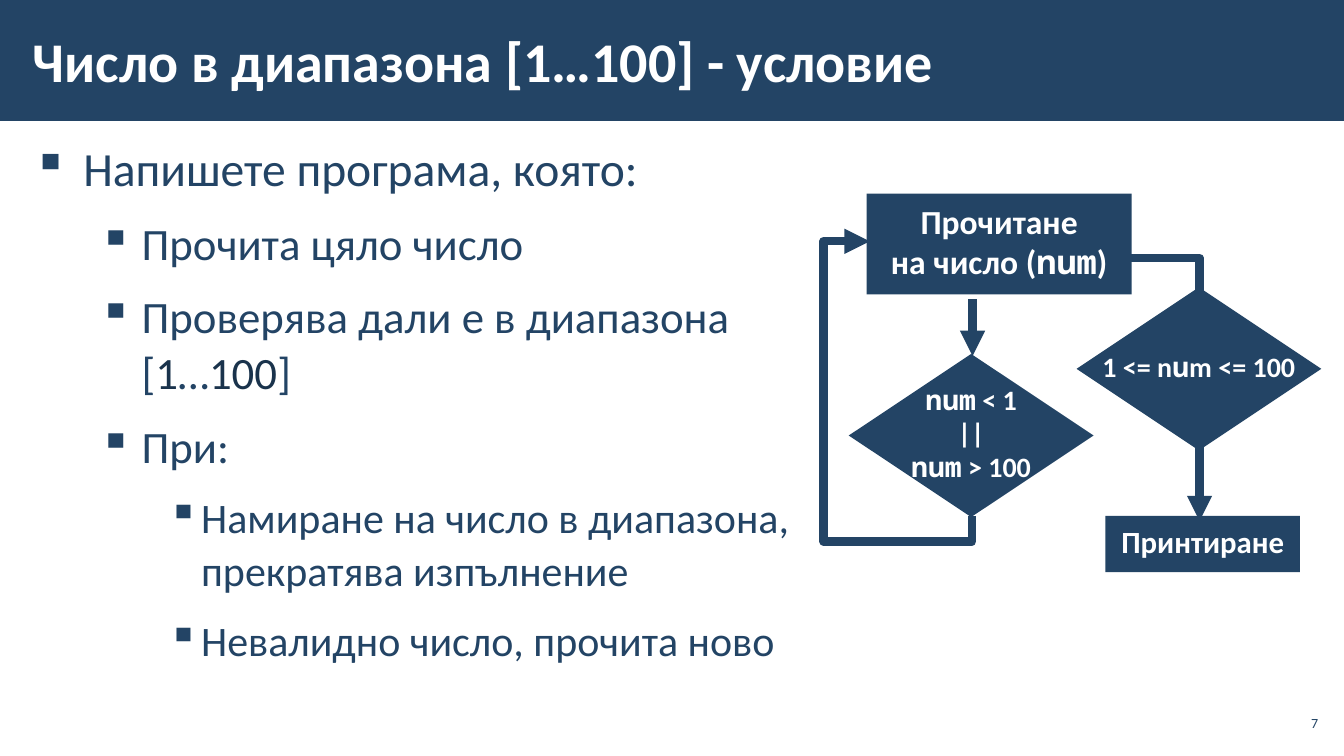
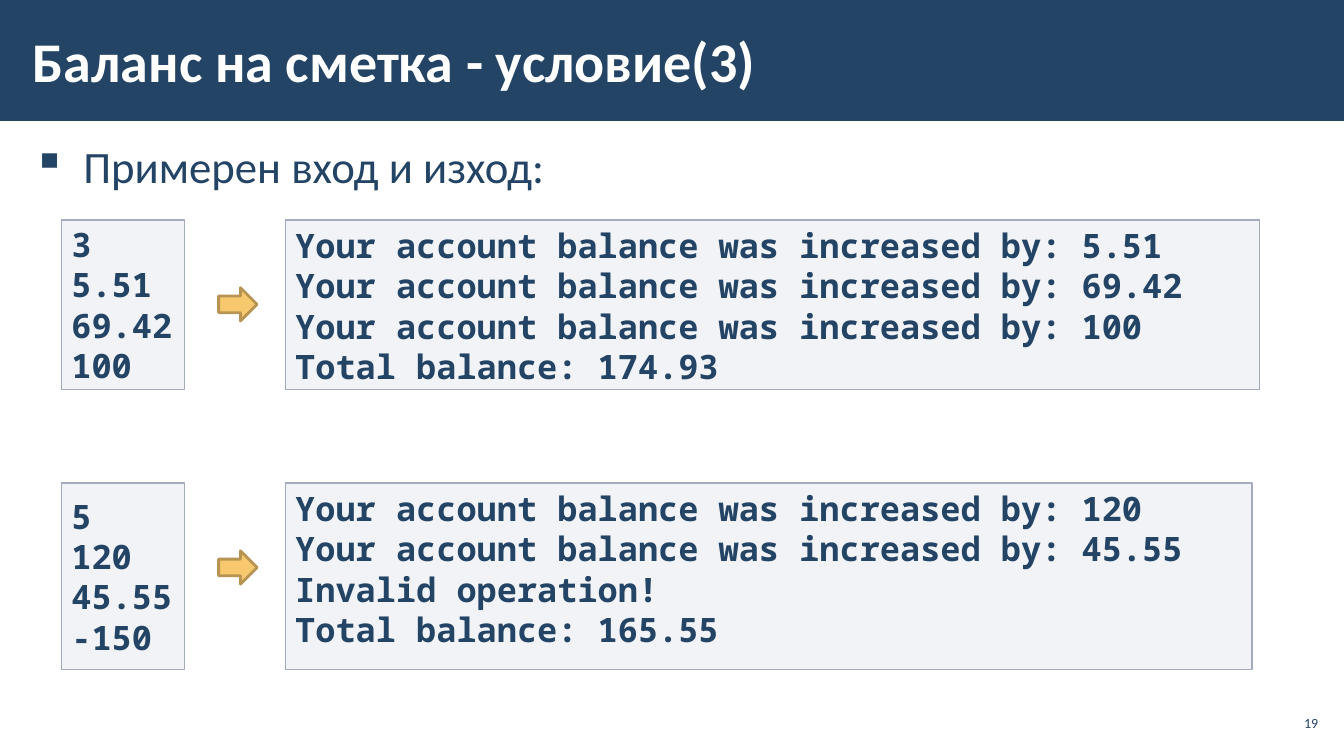
"""Builds two lesson slides: a number-range flowchart and account balance examples."""
from lxml.etree import SubElement
from pptx import Presentation
from pptx.dml.color import RGBColor
from pptx.enum.shapes import MSO_CONNECTOR as Link, MSO_SHAPE as Shape
from pptx.enum.text import MSO_ANCHOR as Anchor, PP_ALIGN as Align
from pptx.oxml.ns import qn
from pptx.util import Cm, Pt

COLORS = {
    "navy": "234465", "dark": "1A334C", "white": "FFFFFF",
    "panel": "C2C7D2", "panel_edge": "A3ABBC",
    "arrow": "F7C86D", "arrow_edge": "B79451",
}
SANS, MONO = "Calibri", "Noto Sans Mono"

SLIDE_SIZE = (33.87, 19.05)
BAND = (0, 0, 33.87, 3.05)
TITLE = (0.53, 0.28, 26.42, 2.46)
BODY = (0.53, 3.33, 32.82, 14.45)
PAGE_NUMBER = (32.13, 17.78, 1.19, 0.86)
BULLET_INDENTS = [(1.27, 1.27), (2.74, 1.07), (4.24, 0.84)]

RANGE_TITLE = "Число в диапазона [1…100] - условие"
RANGE_BULLETS = [
    (0, 34, [("Напишете програма, която:", "navy")]),
    (1, 32, [("Прочита цяло число", "navy")]),
    (1, 32, [("Проверява дали е в диапазона\n[", "navy"), ("1", "dark"),
             ("…", "navy"), ("100", "dark"), ("]", "navy")]),
    (1, 32, [("При:", "navy")]),
    (2, 30, [("Намиране на число в диапазона,\nпрекратява изпълнение", "navy")]),
    (2, 30, [("Невалидно число, прочита ново", "navy")]),
]
FLOW_STEPS = [
    (Shape.RECTANGLE, (21.84, 4.88, 6.68, 2.54), 24,
     [("Прочитане\nна число (", SANS), ("num", MONO), (")", SANS)]),
    (Shape.FLOWCHART_DECISION, (21.39, 8.92, 6.17, 4.11), 20,
     [("num", MONO), (" < 1\n||\n", SANS), ("num", MONO), (" > 100", SANS)]),
    (Shape.FLOWCHART_DECISION, (27.13, 7.24, 6.17, 4.11), 20,
     [("1 <= n", SANS), ("u", MONO), ("m <= 100", SANS)]),
    (Shape.RECTANGLE, (27.86, 13, 4.9, 1.42), 22, [("Принтиране", SANS)]),
]
READ_TO_CHECK = (24.51, 7.54, 24.51, 8.97)
TURNED_FLOWS = [
    ("bentConnector3", (25.91, 8.81, 6.63, 2.01), 270, [0]),
    ("bentConnector4", (19.74, 8.26, 6.93, 2.57), 90, [-9200, 145200]),
]

BALANCE_TITLE = "Баланс на сметка - условие(3)"
BALANCE_BULLETS = [(0, 32, [("Примерен вход и изход:", "navy")])]
INCREASED = "Your account balance was increased by: "
EXAMPLES = [
    (5.54, 4.27, 24.56, ["3", "5.51", "69.42", "100"],
     [INCREASED + "5.51", INCREASED + "69.42", INCREASED + "100",
      "Total balance: 174.93"]),
    (12.17, 4.7, 24.36, ["5", "120", "45.55", "-150"],
     [INCREASED + "120", INCREASED + "45.55", "Invalid operation!",
      "Total balance: 165.55"]),
]
INPUT_LEFT, INPUT_WIDTH, OUTPUT_LEFT = 1.55, 3.1, 7.19
ARROW_LEFT, ARROW_DROP, ARROW_SIZE = 5.51, 1.71, (0.97, 0.84)


def rgb(color):
    return RGBColor.from_string(COLORS[color])


def lengths(values):
    return [Cm(value) for value in values]


def add_run(paragraph, text, size, color="navy", font=SANS, bold=False):
    for index, line in enumerate(text.split("\n")):
        if index:
            paragraph.add_line_break()
        if line:
            run = paragraph.add_run()
            run.text = line
            run.font.size = Pt(size)
            run.font.name = font
            run.font.bold = bold
            run.font.color.rgb = rgb(color)


def next_paragraph(frame, index):
    return frame.add_paragraph() if index else frame.paragraphs[0]


def add_block(slide, kind, box, fill, edge=None, edge_width=1):
    block = slide.shapes.add_shape(kind, *lengths(box))
    block.shadow.inherit = False
    block.fill.solid()
    block.fill.fore_color.rgb = rgb(fill)
    if edge:
        block.line.color.rgb = rgb(edge)
        block.line.width = Pt(edge_width)
    else:
        block.line.fill.background()
    return block


def set_insets(frame, side, vertical):
    frame.margin_left = frame.margin_right = Cm(side)
    frame.margin_top = frame.margin_bottom = Cm(vertical)


def add_text(slide, box, side=0.3, anchor=Anchor.TOP):
    frame = slide.shapes.add_textbox(*lengths(box)).text_frame
    frame.word_wrap = True
    frame.vertical_anchor = anchor
    set_insets(frame, side, 0.1)
    return frame


def add_bullets(slide, bullets):
    frame = add_text(slide, BODY)
    for index, (level, size, runs) in enumerate(bullets):
        paragraph = next_paragraph(frame, index)
        paragraph.level = level
        paragraph.line_spacing = 1.05
        paragraph.space_before = paragraph.space_after = Pt(6)
        margin, hanging = BULLET_INDENTS[level]
        properties = paragraph._p.get_or_add_pPr()
        properties.set("marL", str(Cm(margin)))
        properties.set("indent", str(-Cm(hanging)))
        SubElement(properties, qn("a:buChar"), char="▪")
        for text, color in runs:
            add_run(paragraph, text, size, color)


def start_slide(deck, title, bullets, number):
    slide = deck.slides.add_slide(deck.slide_layouts[6])
    add_block(slide, Shape.RECTANGLE, BAND, "navy")
    heading = add_text(slide, TITLE, anchor=Anchor.MIDDLE)
    add_run(heading.paragraphs[0], title, 40, "white", bold=True)
    add_bullets(slide, bullets)
    page = add_text(slide, PAGE_NUMBER, 0.1, Anchor.MIDDLE).paragraphs[0]
    page.alignment = Align.RIGHT
    add_run(page, str(number), 10)
    return slide


def add_flow(slide, kind, ends):
    flow = slide.shapes.add_connector(kind, *lengths(ends))
    flow.line.color.rgb = rgb("navy")
    flow.line.width = Pt(6)
    SubElement(flow.line._get_or_add_ln(), qn("a:tailEnd"), type="triangle")
    SubElement(flow._element.spPr, qn("a:effectLst"))
    return flow


def add_turned_flow(slide, preset, box, degrees, bends):
    left, top, width, height = box
    flow = add_flow(slide, Link.ELBOW, (left + width, top, left, top + height))
    properties = flow._element.spPr
    properties.find(qn("a:xfrm")).set("rot", str(degrees * 60000))
    geometry = properties.find(qn("a:prstGeom"))
    geometry.set("prst", preset)
    guides = geometry.find(qn("a:avLst"))
    for index, bend in enumerate(bends, 1):
        SubElement(guides, qn("a:gd"), name=f"adj{index}", fmla=f"val {bend}")


def add_step(slide, kind, box, size, runs):
    frame = add_block(slide, kind, box, "navy").text_frame
    frame.word_wrap = False
    frame.vertical_anchor = Anchor.MIDDLE
    set_insets(frame, 0, 0)
    frame.margin_bottom = Cm(0.15)
    paragraph = frame.paragraphs[0]
    paragraph.alignment = Align.CENTER
    for text, font in runs:
        add_run(paragraph, text, size, "white", font, True)


def add_console(slide, box, lines, anchor):
    panel = add_block(slide, Shape.RECTANGLE, box, "panel", "panel_edge")
    tint = panel._element.spPr.find(qn("a:solidFill"))[0]
    SubElement(tint, qn("a:alpha"), val="20000")
    frame = panel.text_frame
    frame.word_wrap = True
    frame.vertical_anchor = anchor
    for index, line in enumerate(lines):
        paragraph = next_paragraph(frame, index)
        paragraph.alignment = Align.LEFT
        add_run(paragraph, line, 24, font=MONO, bold=True)


def build_range_slide(deck):
    slide = start_slide(deck, RANGE_TITLE, RANGE_BULLETS, 7)
    add_flow(slide, Link.STRAIGHT, READ_TO_CHECK)
    for flow in TURNED_FLOWS:
        add_turned_flow(slide, *flow)
    for step in FLOW_STEPS:
        add_step(slide, *step)


def build_balance_slide(deck):
    slide = start_slide(deck, BALANCE_TITLE, BALANCE_BULLETS, 19)
    for top, height, output_width, entered, printed in EXAMPLES:
        add_console(slide, (INPUT_LEFT, top, INPUT_WIDTH, height), entered,
                    Anchor.MIDDLE)
        add_block(slide, Shape.RIGHT_ARROW,
                  (ARROW_LEFT, top + ARROW_DROP, *ARROW_SIZE),
                  "arrow", "arrow_edge", 2)
        add_console(slide, (OUTPUT_LEFT, top, output_width, height), printed,
                    Anchor.TOP)


def main():
    deck = Presentation()
    deck.slide_width, deck.slide_height = lengths(SLIDE_SIZE)
    build_range_slide(deck)
    build_balance_slide(deck)
    deck.save("out.pptx")


if __name__ == "__main__":
    main()
